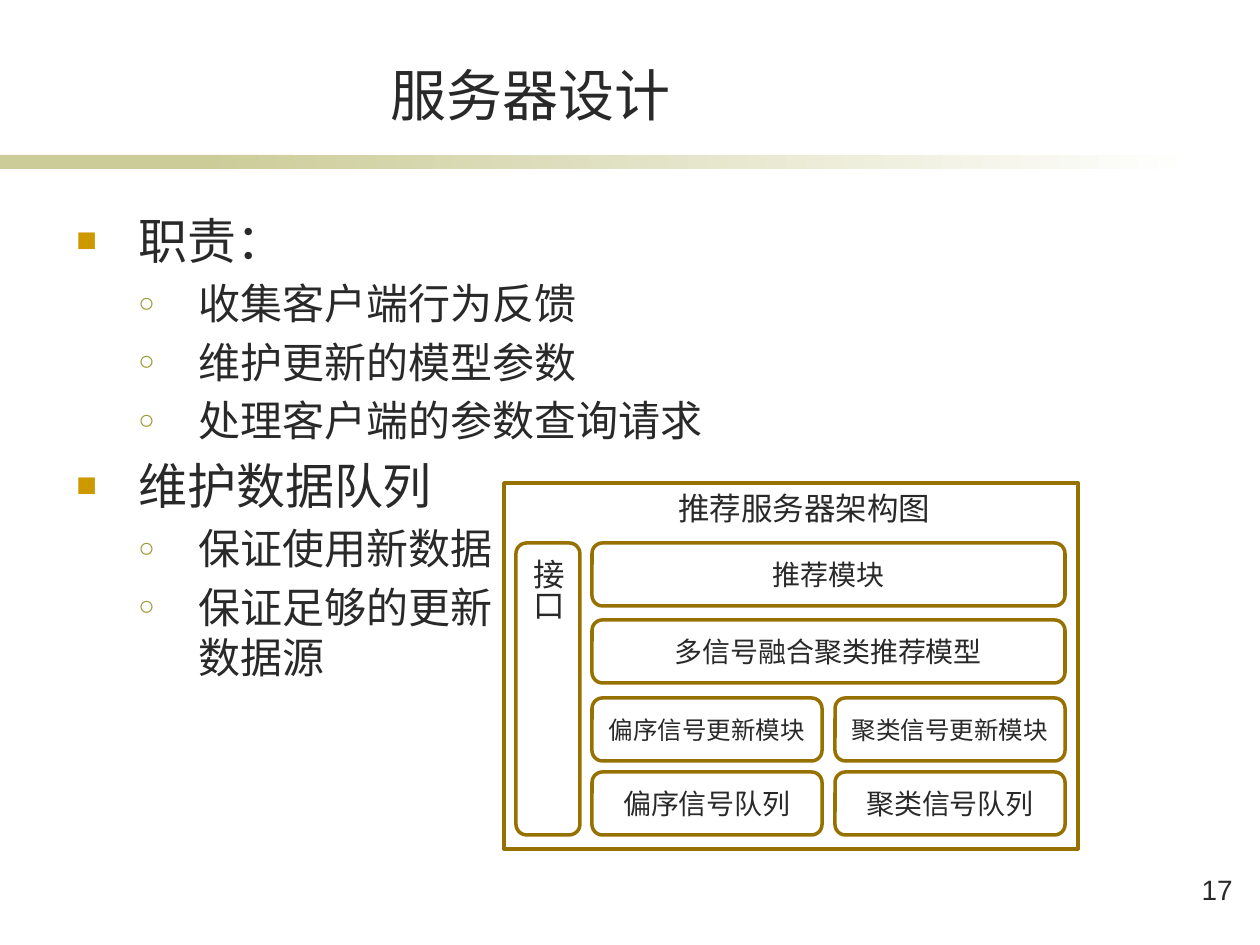
"""Build the server design slide: duties, data queues and the architecture diagram."""
from lxml.etree import SubElement
from pptx import Presentation
from pptx.dml.color import RGBColor as Rgb
from pptx.enum.shapes import MSO_SHAPE as Shape
from pptx.enum.text import MSO_ANCHOR as Anchor, PP_ALIGN as Align
from pptx.oxml.ns import qn
from pptx.util import Emu, Pt

PX_PER_INCH = 126
COLORS = {
    "text": "292929",
    "bar": "CCCC99",
    "fade": "FFFFFF",
    "outline": "977100",
    "square": "CC9900",
    "circle": "999933",
}
LEVELS = [
    {"size": 28, "left": 62, "hang": 62, "mark": "■", "color": "square", "scale": 70},
    {"size": 24, "left": 122, "hang": 60, "mark": "○", "color": "circle", "scale": 65},
]
OUTLINE = [
    (0, "职责："),
    (1, "收集客户端行为反馈"),
    (1, "维护更新的模型参数"),
    (1, "处理客户端的参数查询请求"),
    (0, "维护数据队列"),
    (1, "保证使用新数据"),
    (1, "保证足够的更新\n数据源"),
]
MODULE_ROWS = [
    (543, 16, ["推荐模块"]),
    (620, 16, ["多信号融合聚类推荐模型"]),
    (698, 14, ["偏序信号更新模块", "聚类信号更新模块"]),
    (772, 16, ["偏序信号队列", "聚类信号队列"]),
]
GRID_LEFT, GRID_WIDTH, GRID_GAP, ROW_HEIGHT = 592, 473, 13, 63


def px(length):
    """Turn pixels into EMU."""
    return Emu(round(length * 914400 / PX_PER_INCH))


def rgb(name):
    """Look up a named colour."""
    return Rgb.from_string(COLORS[name])


def add_run(para, text, size, font="Arial"):
    """Add one styled run to a paragraph."""
    span = para.add_run()
    span.text = text
    span.font.size = Pt(size)
    span.font.name = font
    span.font.color.rgb = rgb("text")


def add_text(shapes, bounds, text, size, align, font="Arial", anchor=Anchor.TOP):
    """Add a text box holding one line."""
    frame = shapes.add_textbox(*map(px, bounds)).text_frame
    frame.word_wrap = True
    frame.vertical_anchor = anchor
    para = frame.paragraphs[0]
    para.alignment = align
    add_run(para, text, size, font)


def add_bar(shapes, bounds, fades):
    """Add a piece of the title rule, plain or fading to white."""
    bar = shapes.add_shape(Shape.RECTANGLE, *map(px, bounds))
    bar.shadow.inherit = False
    bar.line.fill.background()
    if fades:
        bar.fill.gradient()
        bar.fill.gradient_angle = 0
        for stop, name in zip(bar.fill.gradient_stops, ("bar", "fade")):
            stop.color.rgb = rgb(name)
    else:
        bar.fill.solid()
        bar.fill.fore_color.rgb = rgb("bar")


def add_frame(shapes, kind, bounds):
    """Add an unfilled outlined shape."""
    box = shapes.add_shape(kind, *map(px, bounds))
    box.shadow.inherit = False
    box.fill.background()
    box.line.color.rgb = rgb("outline")
    box.line.width = Pt(2)
    return box


def add_module(shapes, bounds, text, size, vertical=False):
    """Add a labelled rounded box, its label running down if vertical."""
    frame = add_frame(shapes, Shape.ROUNDED_RECTANGLE, bounds).text_frame
    frame.word_wrap = True
    frame.vertical_anchor = Anchor.MIDDLE
    para = frame.paragraphs[0]
    para.alignment = Align.LEFT if vertical else Align.CENTER
    if vertical:
        frame._txBody.bodyPr.set("vert", "eaVert")
    add_run(para, text, size)


def set_bullet(para, level):
    """Give a paragraph its indent, spacing and bullet."""
    props = para._p.get_or_add_pPr()
    props.set("marL", str(px(level["left"])))
    props.set("indent", str(-px(level["hang"])))
    spacing = SubElement(props, qn("a:spcBef"))
    SubElement(spacing, qn("a:spcPct"), val="20000")
    color = SubElement(props, qn("a:buClr"))
    SubElement(color, qn("a:srgbClr"), val=COLORS[level["color"]])
    SubElement(props, qn("a:buSzPct"), val=str(level["scale"] * 1000))
    SubElement(props, qn("a:buFont"), typeface="Arial")
    SubElement(props, qn("a:buChar"), char=level["mark"])


def add_outline(shapes, bounds, items):
    """Add the two-level bulleted list."""
    frame = shapes.add_textbox(*map(px, bounds)).text_frame
    frame.word_wrap = True
    for index, (depth, text) in enumerate(items):
        para = frame.add_paragraph() if index else frame.paragraphs[0]
        para.level = depth
        set_bullet(para, LEVELS[depth])
        for number, line in enumerate(text.split("\n")):
            if number:
                para.add_line_break()
            add_run(para, line, LEVELS[depth]["size"])


def add_diagram(shapes):
    """Add the grouped server architecture diagram."""
    parts = shapes.add_group_shape().shapes
    for top, size, labels in MODULE_ROWS:
        width = (GRID_WIDTH - GRID_GAP * (len(labels) - 1)) // len(labels)
        for column, label in enumerate(labels):
            left = GRID_LEFT + column * (width + GRID_GAP)
            add_module(parts, (left, top, width, ROW_HEIGHT), label, size)
    add_module(parts, (516, 543, 64, 292), "接口", 18, vertical=True)
    add_frame(parts, Shape.RECTANGLE, (504, 483, 574, 366))
    add_text(parts, (619, 483, 370, 65), "推荐服务器架构图", 18, Align.CENTER, "Times New Roman")


def main():
    """Build and save the deck."""
    deck = Presentation()
    deck.slide_width, deck.slide_height = px(1260), px(945)
    page = deck.slides.add_slide(deck.slide_layouts[6])
    shapes = page.shapes
    add_bar(shapes, (0, 155, 294, 14), fades=False)
    add_bar(shapes, (199, 155, 998, 14), fades=True)
    add_text(shapes, (144, 55, 774, 79), "服务器设计", 32, Align.CENTER, anchor=Anchor.BOTTOM)
    add_outline(shapes, (64, 204, 1121, 605), OUTLINE)
    add_text(shapes, (1116, 866, 129, 63), "17", 16, Align.RIGHT)
    add_diagram(shapes)
    deck.save("out.pptx")


if __name__ == "__main__":
    main()
